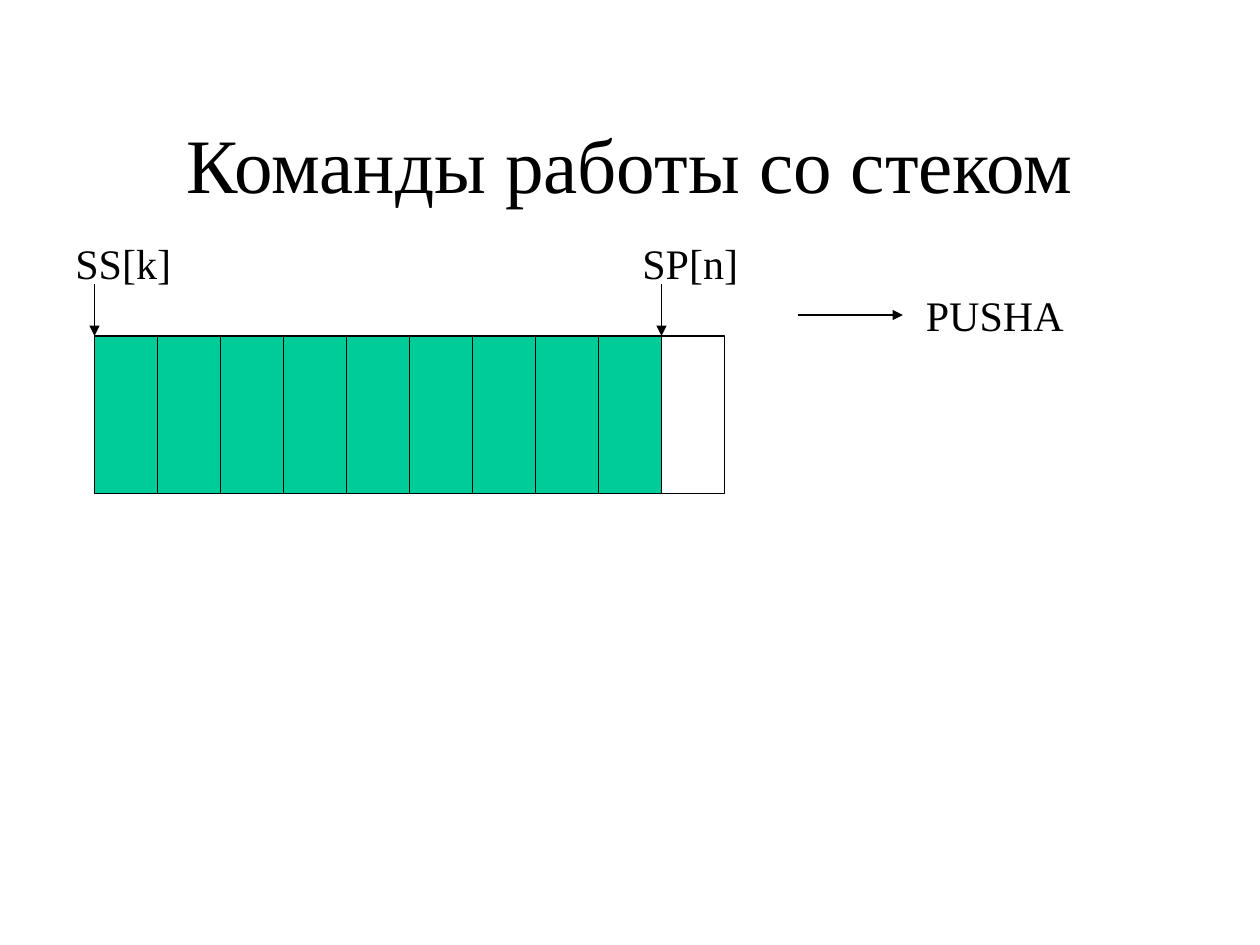
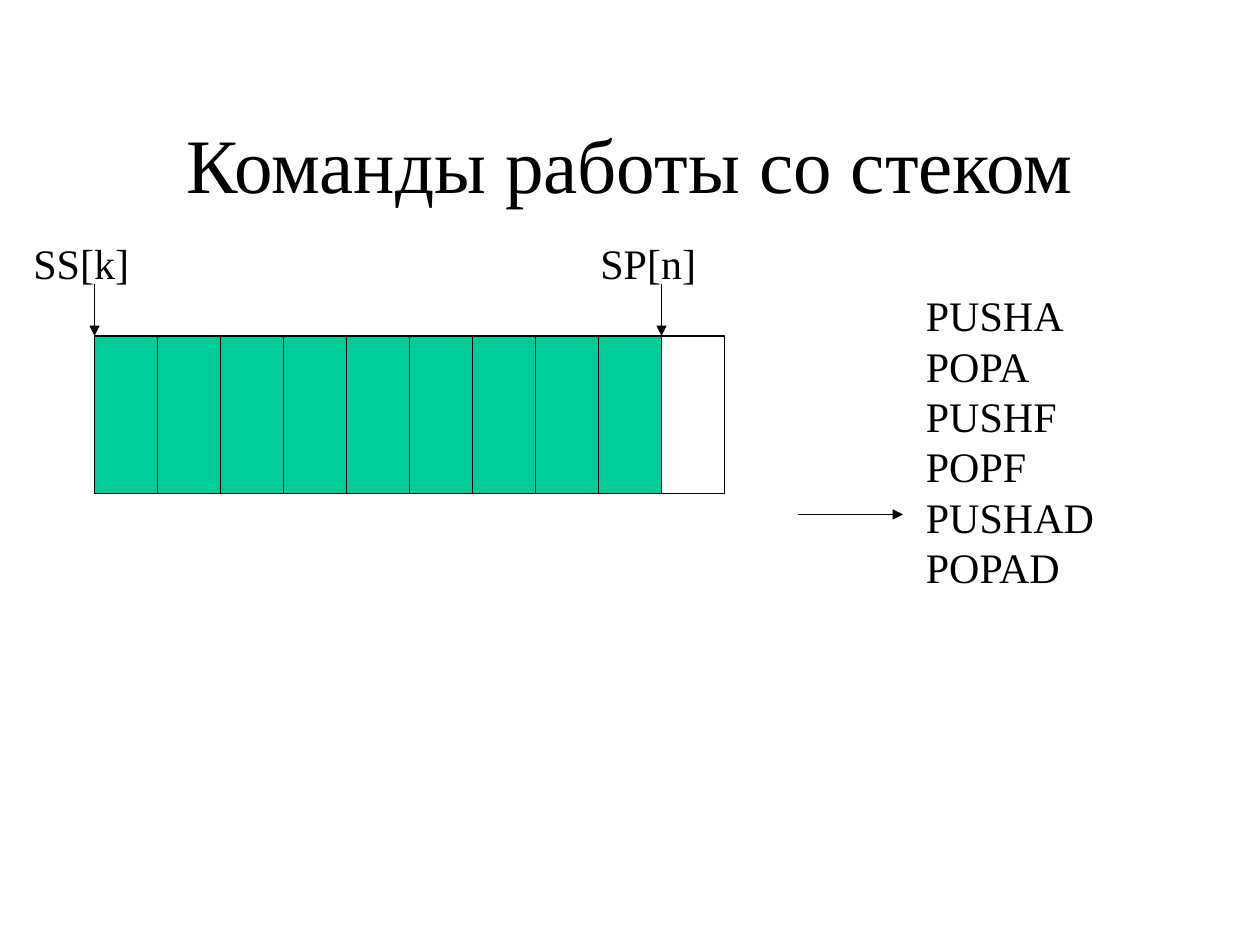
from lxml import etree
from pptx import Presentation
from pptx.dml.color import RGBColor
from pptx.enum import shapes, text
from pptx.oxml import ns
from pptx.util import Pt

FONT = "Times New Roman"
BLACK, WHITE, GREEN = "000000", "FFFFFF", "00CC99"
TITLE = "Команды работы со стеком"
LINE_WIDTH = 0.75

STACK_LEFT, STACK_TOP = 54, 192
CELL_WIDTH, CELL_HEIGHT = 36, 90
FILLED_CELLS = 9
POINTER_TOP = 162
POINTER_GAP = FILLED_CELLS * CELL_WIDTH
COMMANDS_LEFT = 522


def color(value):
    """Turn a hex string into a colour."""
    return RGBColor.from_string(value)


def format_runs(paragraph, size):
    """Apply the shared font to all runs of a paragraph."""
    for run in paragraph.runs:
        run.font.name = FONT
        run.font.size = Pt(size)
        run.font.color.rgb = color(BLACK)


def add_titled_slide(presentation):
    """Add a title-only slide with the shared heading."""
    slide = presentation.slides.add_slide(presentation.slide_layouts[5])
    slide.background.fill.solid()
    slide.background.fill.fore_color.rgb = color(WHITE)
    title = slide.shapes.title
    title.left, title.top = Pt(54), Pt(48)
    title.width, title.height = Pt(612), Pt(90)
    title.text_frame.text = TITLE
    title.text_frame.vertical_anchor = text.MSO_ANCHOR.MIDDLE
    paragraph = title.text_frame.paragraphs[0]
    paragraph.alignment = text.PP_ALIGN.CENTER
    format_runs(paragraph, 44)
    return slide


def add_cell(slide, index, fill):
    """Add one stack cell at its place in the row."""
    shape = slide.shapes.add_shape(
        shapes.MSO_SHAPE.RECTANGLE, Pt(STACK_LEFT + index * CELL_WIDTH),
        Pt(STACK_TOP), Pt(CELL_WIDTH), Pt(CELL_HEIGHT))
    shape.shadow.inherit = False
    shape.fill.solid()
    shape.fill.fore_color.rgb = color(fill)
    shape.line.color.rgb = color(BLACK)
    shape.line.width = Pt(LINE_WIDTH)


def add_arrow(slide, start, end):
    """Add a thin line with a triangular head at its end."""
    connector = slide.shapes.add_connector(
        shapes.MSO_CONNECTOR.STRAIGHT, *(Pt(value) for value in start + end))
    connector.line.color.rgb = color(BLACK)
    connector.line.width = Pt(LINE_WIDTH)
    line = connector.line._get_or_add_ln()
    etree.SubElement(line, ns.qn("a:tailEnd"), type="triangle")
    etree.SubElement(connector._element.spPr, ns.qn("a:effectLst"))


def add_text(slide, left, top, width, height, content):
    """Add a left-aligned text box and return its paragraph."""
    box = slide.shapes.add_textbox(Pt(left), Pt(top), Pt(width), Pt(height))
    box.text_frame.word_wrap = True
    paragraph = box.text_frame.paragraphs[0]
    paragraph.text = content
    paragraph.line_spacing = Pt(28.8)
    paragraph.space_before = Pt(1)
    format_runs(paragraph, 24)
    return paragraph


def add_pointer_labels(slide, left, width):
    """Label both pointers, the second one at a tab stop."""
    paragraph = add_text(slide, left, 132, width, 36, "SS[k]\tSP[n]")
    tabs = etree.SubElement(paragraph._p.get_or_add_pPr(), ns.qn("a:tabLst"))
    etree.SubElement(tabs, ns.qn("a:tab"), pos=str(Pt(POINTER_GAP)), algn="l")


def add_stack(slide):
    """Draw the filled cells, the free cell and both pointers."""
    for index in range(FILLED_CELLS + 1):
        add_cell(slide, index, GREEN if index < FILLED_CELLS else WHITE)
    for x in (STACK_LEFT, STACK_LEFT + POINTER_GAP):
        add_arrow(slide, (x, POINTER_TOP), (x, STACK_TOP))


def add_commands(slide, commands, height, arrow_y):
    """List the commands and point at the current one."""
    add_text(slide, COMMANDS_LEFT, 162, 132, height, "\v".join(commands))
    add_arrow(slide, (456, arrow_y), (516, arrow_y))


def main():
    """Build and save the slides."""
    presentation = Presentation()
    presentation.slide_width, presentation.slide_height = Pt(720), Pt(540)
    commands = ["PUSHA", "POPA", "PUSHF", "POPF", "PUSHAD", "POPAD"]
    steps = [
        (36, 438, commands[:1], 36, 180),
        (12, 426, commands, 180, 294),
    ]
    for label_left, label_width, listed, height, arrow_y in steps:
        slide = add_titled_slide(presentation)
        add_stack(slide)
        add_pointer_labels(slide, label_left, label_width)
        add_commands(slide, listed, height, arrow_y)
    presentation.save("out.pptx")


main()
